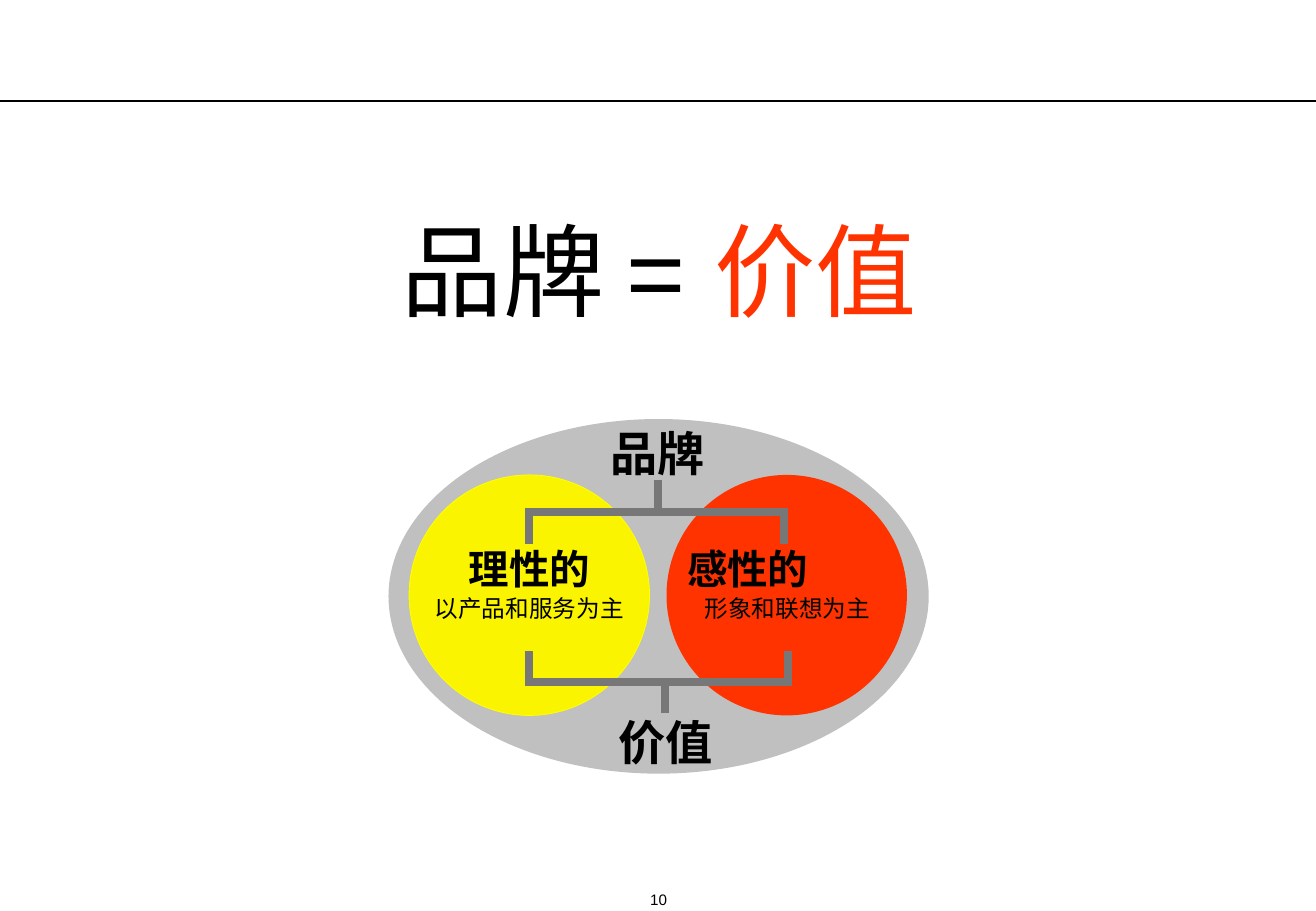
"""Build the slide that equates a brand with its rational and emotional value."""
from pptx import Presentation, util as u
from pptx.dml.color import RGBColor
from pptx.enum import shapes, text
from pptx.oxml.ns import qn
from lxml import etree

WIDTH, HEIGHT = u.Inches(10.84), u.Inches(7.5)
COLORS = {"black": "000000", "red": "FF3300", "yellow": "FAF400",
          "edge": "FFFF00", "silver": "C0C0C0", "gray": "777777"}
CENTER, LEFT = text.PP_ALIGN.CENTER, text.PP_ALIGN.LEFT


def across(percent):
    return round(WIDTH * percent / 100)


def down(percent):
    return round(HEIGHT * percent / 100)


def frame(left, top, width, height):
    return across(left), down(top), across(width), down(height)


def color(name):
    return RGBColor.from_string(COLORS[name])


def add_label(slide, box, words, size, bold=False, align=CENTER,
              anchor=text.MSO_ANCHOR.TOP):
    text_frame = slide.shapes.add_textbox(*frame(*box)).text_frame
    text_frame.margin_left = text_frame.margin_right = 0
    text_frame.margin_top = text_frame.margin_bottom = 0
    text_frame.word_wrap = False
    text_frame.auto_size = text.MSO_AUTO_SIZE.SHAPE_TO_FIT_TEXT
    text_frame.vertical_anchor = anchor
    paragraph = text_frame.paragraphs[0]
    paragraph.alignment = align
    paragraph.font.name = "Arial"
    paragraph.font.size = u.Pt(size)
    paragraph.font.bold = bold
    paragraph.font.color.rgb = color("black")
    paragraph.add_run().text = words
    return paragraph


def add_equation(slide):
    paragraph = add_label(slide, (28.69, 25.47, 42.8, 10.67), "品牌 = ", 60)
    paragraph.line_spacing = 0.8
    value = paragraph.add_run()
    value.text = "价值"
    value.font.color.rgb = color("red")


def add_ellipse(slide, box, fill, edge=None):
    ellipse = slide.shapes.add_shape(shapes.MSO_SHAPE.OVAL, *frame(*box))
    ellipse.shadow.inherit = False
    ellipse.fill.solid()
    ellipse.fill.fore_color.rgb = color(fill)
    if edge:
        ellipse.line.color.rgb = color(edge)
        ellipse.line.width = u.Pt(0.5)
    else:
        ellipse.line.fill.background()


def add_line(slide, kind, ends, stroke, weight):
    connector = slide.shapes.add_connector(kind, *ends)
    connector.line.color.rgb = color(stroke)
    connector.line.width = u.Pt(weight)
    outline = connector._element.spPr.find(qn("a:ln"))
    etree.SubElement(outline, qn("a:miter")).set("lim", "800000")
    etree.SubElement(connector._element.spPr, qn("a:effectLst"))
    return connector


def add_elbow(slide, start, end):
    x1, y1, x2, y2 = across(start[0]), down(start[1]), across(end[0]), down(end[1])
    middle_x, middle_y = (x1 + x2) // 2, (y1 + y2) // 2
    half_drop, half_reach = (y2 - y1) // 2, abs(x2 - x1) // 2
    side = 1 if x2 > x1 else -1
    ends = (middle_x + side * half_drop, middle_y - half_reach,
            middle_x - side * half_drop, middle_y + half_reach)
    elbow = add_line(slide, shapes.MSO_CONNECTOR.ELBOW, ends, "gray", 4.5)
    degrees = 270 if side > 0 else 90
    elbow._element.spPr.find(qn("a:xfrm")).set("rot", str(degrees * 60000))


def add_diagram(slide):
    add_ellipse(slide, (29.52, 46, 41.05, 38.93), "silver")
    add_ellipse(slide, (50.65, 52.13, 18.27, 26.4), "red")
    add_ellipse(slide, (31.09, 52.13, 18.27, 26.4), "yellow", "edge")
    for left, words, align in ((35.61, "理性的", CENTER), (52.21, "感性的", LEFT)):
        add_label(slide, (left, 59.73, 9.23, 5.33), words, 24, True, align)
    for left, width, words in ((33.03, 14.39, "以产品和服务为主"),
                               (53.51, 12.64, "形象和联想为主")):
        add_label(slide, (left, 65.2, width, 3.07), words, 14)
    for left, top, words in ((46.4, 46.53, "品牌"), (46.96, 78.27, "价值")):
        add_label(slide, (left, top, 7.2, 6.27), words, 28, True)
    for x in (40.22, 59.59):
        add_elbow(slide, (50, 52.67), (x, 59.73))
    for x in (40.22, 59.87):
        add_elbow(slide, (x, 71.47), (50.55, 78.27))


def main():
    presentation = Presentation()
    presentation.slide_width, presentation.slide_height = WIDTH, HEIGHT
    slide = presentation.slides.add_slide(presentation.slide_layouts[6])
    add_label(slide, (47.42, 97.73, 5.26, 2), "10", 9,
              anchor=text.MSO_ANCHOR.BOTTOM)
    rule = (0, down(11.07), WIDTH, down(11.07))
    add_line(slide, shapes.MSO_CONNECTOR.STRAIGHT, rule, "black", 1.5)
    add_equation(slide)
    add_diagram(slide)
    presentation.save("out.pptx")


if __name__ == "__main__":
    main()
